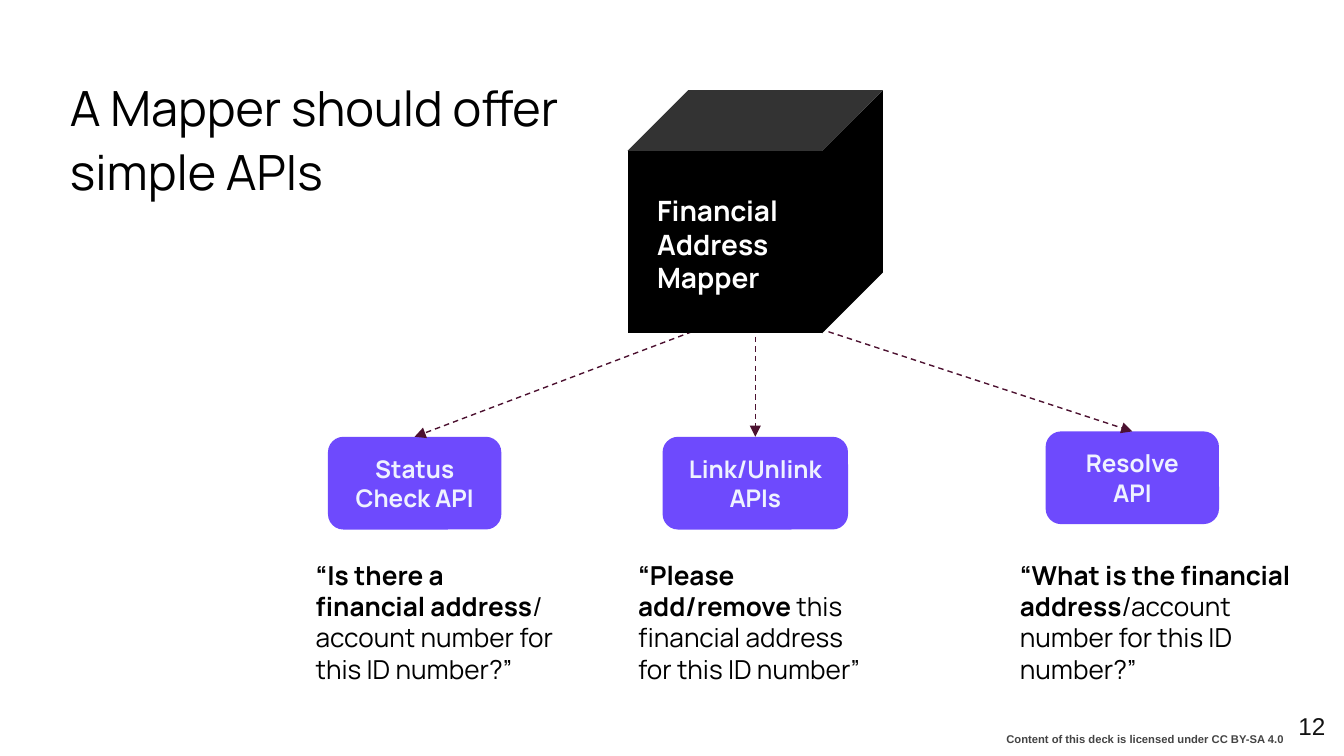
from dataclasses import dataclass

from lxml.etree import SubElement
from pptx import Presentation
from pptx.dml.color import RGBColor
from pptx.enum.dml import MSO_LINE
from pptx.enum.shapes import MSO_CONNECTOR, MSO_SHAPE
from pptx.enum.text import MSO_ANCHOR, MSO_AUTO_SIZE, PP_ALIGN
from pptx.oxml.ns import qn
from pptx.util import Inches, Pt


@dataclass(frozen=True)
class Theme:
    heading_font: str = "Manrope"
    small_font: str = "Arial"
    black: str = "000000"
    white: str = "FFFFFF"
    violet: str = "6E4AFD"
    pale: str = "EFF2FF"
    arrow: str = "4C1130"
    footer: str = "434343"
    number: str = "121212"
    title_size: int = 26
    cube_size: int = 15
    caption_size: int = 14
    box_size: int = 13
    number_size: int = 13
    footer_size: int = 6


T = Theme()
SLIDE_WIDTH = Inches(10)
HUB = (5.62, 2.29)
BOX_HEIGHT = 0.69
CAPTION_TOP, CAPTION_HEIGHT = 4.06, 1.14

APIS = [
    {"box": (7.78, 3.21, 1.29), "label": ["Resolve", "API"],
     "caption": (7.49, 2.27), "strong": "“What is the financial address",
     "rest": "/account number for this ID number?”"},
    {"box": (4.93, 3.25, 1.38), "label": ["Link/Unlink", "APIs"],
     "caption": (4.65, 1.9), "strong": "“Please add/remove",
     "rest": " this financial address for this ID number”"},
    {"box": (2.44, 3.25, 1.29), "label": ["Status Check API"],
     "caption": (2.25, 2), "strong": "“Is there a financial address",
     "rest": "/ account number for this ID number?”"},
]


def apply(target, values):
    for name, value in values.items():
        setattr(target, name, value)


def write(tf, paragraphs, size, color, font=T.heading_font, inset=0.1,
          paragraph_format=None, **frame_format):
    sides = ("margin_left", "margin_top", "margin_right", "margin_bottom")
    apply(tf, {"word_wrap": True, **dict.fromkeys(sides, Inches(inset)), **frame_format})
    for i, runs in enumerate(paragraphs):
        p = tf.paragraphs[0] if i == 0 else tf.add_paragraph()
        apply(p, paragraph_format or {})
        for text, bold in runs:
            r = p.add_run()
            r.text = text
            apply(r.font, {"name": font, "size": Pt(size), "bold": bold})
            r.font.color.rgb = RGBColor.from_string(color)


def add_text(s, at, paragraphs, size, color, **options):
    sp = s.shapes.add_textbox(*map(Inches, at))
    write(sp.text_frame, paragraphs, size, color, **options)


def add_solid(s, kind, at, color):
    sp = s.shapes.add_shape(kind, *map(Inches, at))
    sp.shadow.inherit = False
    sp.fill.solid()
    sp.fill.fore_color.rgb = RGBColor.from_string(color)
    sp.line.fill.background()
    return sp


def add_api_box(s, api):
    left, top, width = api["box"]
    sp = add_solid(s, MSO_SHAPE.FLOWCHART_ALTERNATE_PROCESS,
                   (left, top, width, BOX_HEIGHT), T.violet)
    write(sp.text_frame, [[(line, True)] for line in api["label"]], T.box_size, T.pale,
          paragraph_format={"alignment": PP_ALIGN.CENTER},
          vertical_anchor=MSO_ANCHOR.MIDDLE)
    return sp


def add_caption(s, api):
    left, width = api["caption"]
    add_text(s, (left, CAPTION_TOP, width, CAPTION_HEIGHT),
             [[(api["strong"], True), (api["rest"], False)]],
             T.caption_size, T.black, auto_size=MSO_AUTO_SIZE.SHAPE_TO_FIT_TEXT)


def add_arrow(s, box):
    x, y = map(Inches, HUB)
    line = s.shapes.add_connector(MSO_CONNECTOR.STRAIGHT, x, y, x, y)
    line.end_connect(box, 0)
    apply(line.line, {"width": Pt(0.75), "dash_style": MSO_LINE.DASH})
    line.line.color.rgb = RGBColor.from_string(T.arrow)
    SubElement(line.line._get_or_add_ln(), qn("a:tailEnd"), type="triangle")
    SubElement(line._element.spPr, qn("a:effectLst"))


def add_mapper_cube(s):
    add_solid(s, MSO_SHAPE.CUBE, (4.67, 0.67, 1.9, 1.81), T.black)
    add_text(s, (4.79, 1.34, 1.21, 0.96),
             [[(word, True)] for word in ("Financial", "Address", "Mapper")],
             T.cube_size, T.white, auto_size=MSO_AUTO_SIZE.SHAPE_TO_FIT_TEXT)


def add_title(s):
    add_text(s, (0.52, 0.54, 3.65, 0.92),
             [[("A Mapper should offer", False)], [("simple APIs", False)]],
             T.title_size, T.black, inset=0, paragraph_format={"line_spacing": 1.1},
             auto_size=MSO_AUTO_SIZE.SHAPE_TO_FIT_TEXT)


def add_footer(s):
    add_text(s, (7.35, 5.41, 2.27, 0.21),
             [[("Content of this deck is licensed under CC BY-SA 4.0", True)]],
             T.footer_size, T.footer, font=T.small_font, inset=0.07,
             paragraph_format={"alignment": PP_ALIGN.RIGHT, "line_spacing": 0.5},
             vertical_anchor=MSO_ANCHOR.MIDDLE)
    add_text(s, (9.36, 5.19, 0.6, 0.43), [[("12", False)]],
             T.number_size, T.number, font=T.small_font,
             paragraph_format={"alignment": PP_ALIGN.RIGHT})


def main():
    prs = Presentation()
    apply(prs, {"slide_width": SLIDE_WIDTH, "slide_height": SLIDE_WIDTH * 9 // 16})
    s = prs.slides.add_slide(prs.slide_layouts[6])
    add_title(s)
    boxes = [add_api_box(s, api) for api in APIS]
    for api in APIS:
        add_caption(s, api)
    for box in boxes:
        add_arrow(s, box)
    add_mapper_cube(s)
    add_footer(s)
    prs.save("out.pptx")


if __name__ == "__main__":
    main()
